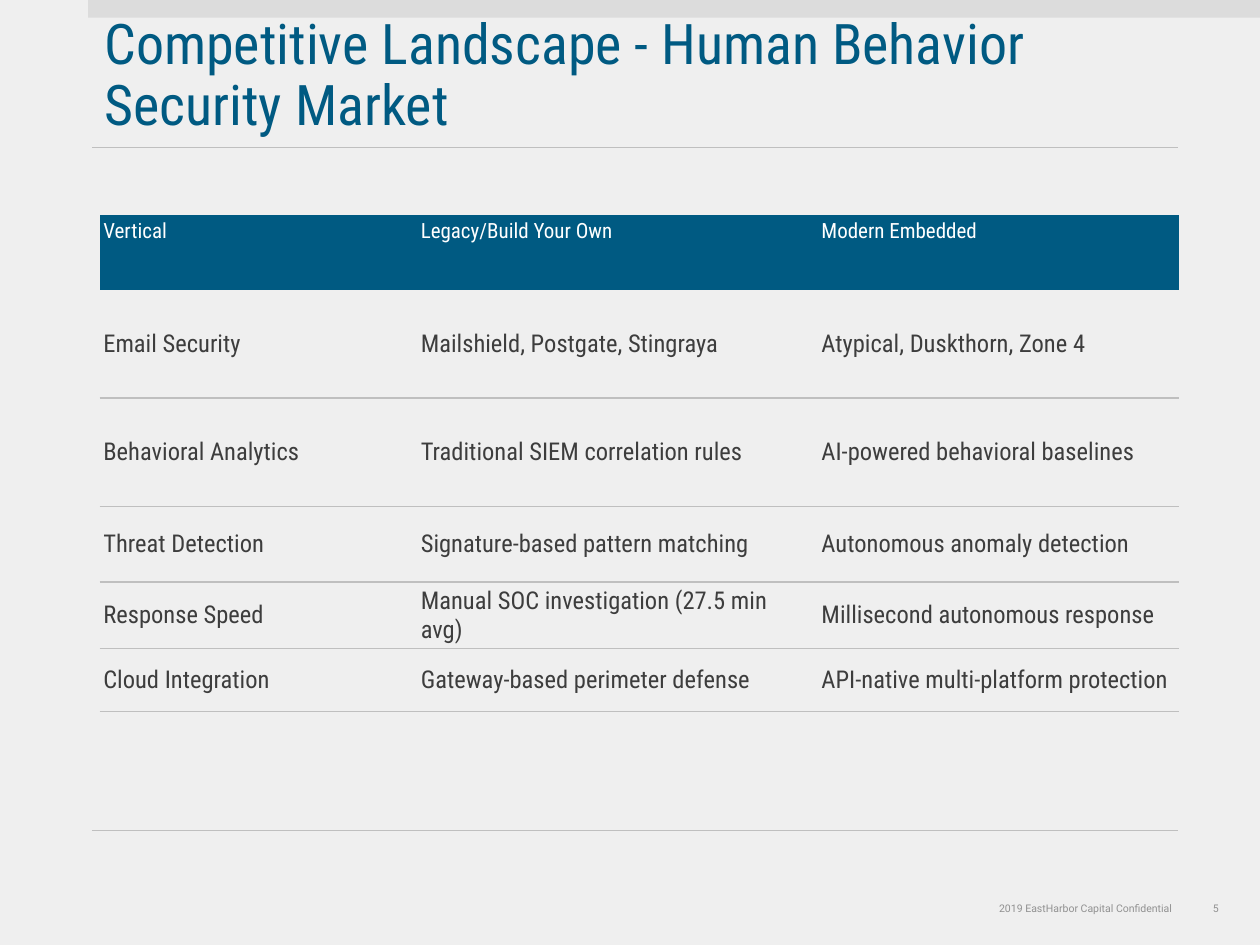
from lxml import etree
from pptx import Presentation, util as u
from pptx.dml.color import RGBColor
from pptx.enum import shapes, text
from pptx.oxml.ns import qn

THEME = {
    "background": "EFEFEF", "band": "DCDCDC", "rule": "BFBFBF",
    "accent": "005A82", "body": "3D3D3D", "header": "FFFFFF", "footer": "919191",
    "font": "Roboto Condensed", "footer_font": "Roboto",
    "title_size": 32, "header_size": 12, "body_size": 14, "footer_size": 6,
}
NO_STYLE_NO_GRID = "{2D5ABB26-0587-4C30-8999-92F81FD0307C}"

TITLE = "Competitive Landscape - Human Behavior Security Market"
ROWS = [
    ("Vertical", "Legacy/Build Your Own", "Modern Embedded"),
    ("Email Security", "Mailshield, Postgate, Stingraya", "Atypical, Duskthorn, Zone 4"),
    ("Behavioral Analytics", "Traditional SIEM correlation rules", "AI-powered behavioral baselines"),
    ("Threat Detection", "Signature-based pattern matching", "Autonomous anomaly detection"),
    ("Response Speed", "Manual SOC investigation (27.5 min avg)", "Millisecond autonomous response"),
    ("Cloud Integration", "Gateway-based perimeter defense", "API-native multi-platform protection"),
]
COLUMN_WIDTHS = [2.52, 3.18, 2.87]
ROW_HEIGHTS = [0.59, 0.86, 0.86, 0.6, 0.5, 0.5]
TABLE_LEFT, TABLE_TOP = 0.79, 1.71
RULE_LEFT, RULE_RIGHT = 0.73, 9.35
RULE_TOPS = [1.17, 6.59]
FOOTERS = [
    ("2019 EastHarbor Capital Confidential", 7.93, 1.4, text.PP_ALIGN.LEFT),
    ("5", 9.6, 0.1, text.PP_ALIGN.CENTER),
]


def color(name):
    return RGBColor.from_string(THEME[name])


def add_run(paragraph, words, size, color_name, font="font"):
    run = paragraph.add_run()
    run.text = words
    run.font.name = THEME[font]
    run.font.size = u.Pt(THEME[size])
    run.font.color.rgb = color(color_name)


def add_text_box(slide, left, top, width, height, margins=(0, 0)):
    """Add a text box and return its frame; margins are horizontal, vertical."""
    box = slide.shapes.add_textbox(*map(u.Inches, (left, top, width, height)))
    frame = box.text_frame
    frame.margin_left = frame.margin_right = u.Inches(margins[0])
    frame.margin_top = frame.margin_bottom = u.Inches(margins[1])
    return frame


def add_band(slide):
    band = slide.shapes.add_shape(
        shapes.MSO_SHAPE.RECTANGLE, u.Inches(0.7), 0, u.Inches(9.3), u.Inches(0.14))
    band.shadow.inherit = False
    band.fill.solid()
    band.fill.fore_color.rgb = color("band")
    band.line.fill.background()


def add_rule(slide, top):
    rule = slide.shapes.add_connector(
        shapes.MSO_CONNECTOR.STRAIGHT,
        *map(u.Inches, (RULE_LEFT, top, RULE_RIGHT, top)))
    rule.line.color.rgb = color("rule")
    rule.line.width = u.Pt(0.5)
    etree.SubElement(rule.element.spPr, qn("a:effectLst"))


def add_footer(slide, words, left, width, alignment):
    frame = add_text_box(slide, left, 7.16, width, 0.1)
    frame.word_wrap = False
    frame.auto_size = text.MSO_AUTO_SIZE.SHAPE_TO_FIT_TEXT
    frame.paragraphs[0].alignment = alignment
    add_run(frame.paragraphs[0], words, "footer_size", "footer", "footer_font")


def add_title(slide):
    frame = add_text_box(slide, RULE_LEFT, 0.59, RULE_RIGHT - RULE_LEFT, 0.55, (0.1, 0.05))
    frame.word_wrap = True
    frame.vertical_anchor = text.MSO_ANCHOR.BOTTOM
    frame.paragraphs[0].line_spacing = 0.9
    add_run(frame.paragraphs[0], TITLE, "title_size", "accent")


def add_bottom_border(cell):
    properties = cell._tc.get_or_add_tcPr()
    border = etree.Element(qn("a:lnB"), w=str(u.Pt(1)))
    fill = etree.SubElement(border, qn("a:solidFill"))
    etree.SubElement(fill, qn("a:srgbClr"), val=THEME["rule"])
    properties.insert(0, border)


def fill_cell(cell, words, is_header):
    cell.margin_left = cell.margin_right = u.Inches(0.03)
    cell.margin_top = cell.margin_bottom = u.Inches(0.03)
    paragraph = cell.text_frame.paragraphs[0]
    if is_header:
        cell.fill.solid()
        cell.fill.fore_color.rgb = color("accent")
        add_run(paragraph, words, "header_size", "header")
    else:
        cell.vertical_anchor = text.MSO_ANCHOR.MIDDLE
        cell.fill.background()
        add_bottom_border(cell)
        add_run(paragraph, words, "body_size", "body")


def add_comparison_table(slide):
    frame = slide.shapes.add_table(
        len(ROWS), len(COLUMN_WIDTHS),
        *map(u.Inches, (TABLE_LEFT, TABLE_TOP, sum(COLUMN_WIDTHS), sum(ROW_HEIGHTS))))
    table = frame.table
    table.horz_banding = False
    table._tbl.tblPr.find(qn("a:tableStyleId")).text = NO_STYLE_NO_GRID
    for column, width in zip(table.columns, COLUMN_WIDTHS):
        column.width = u.Inches(width)
    for index, (row, height, entries) in enumerate(zip(table.rows, ROW_HEIGHTS, ROWS)):
        row.height = u.Inches(height)
        for cell, words in zip(row.cells, entries):
            fill_cell(cell, words, is_header=index == 0)


def main():
    presentation = Presentation()
    presentation.slide_width, presentation.slide_height = u.Inches(10), u.Inches(7.5)
    slide = presentation.slides.add_slide(presentation.slide_layouts[6])
    slide.background.fill.solid()
    slide.background.fill.fore_color.rgb = color("background")
    add_band(slide)
    for footer in FOOTERS:
        add_footer(slide, *footer)
    for top in RULE_TOPS:
        add_rule(slide, top)
    add_title(slide)
    add_comparison_table(slide)
    presentation.save("out.pptx")


if __name__ == "__main__":
    main()
